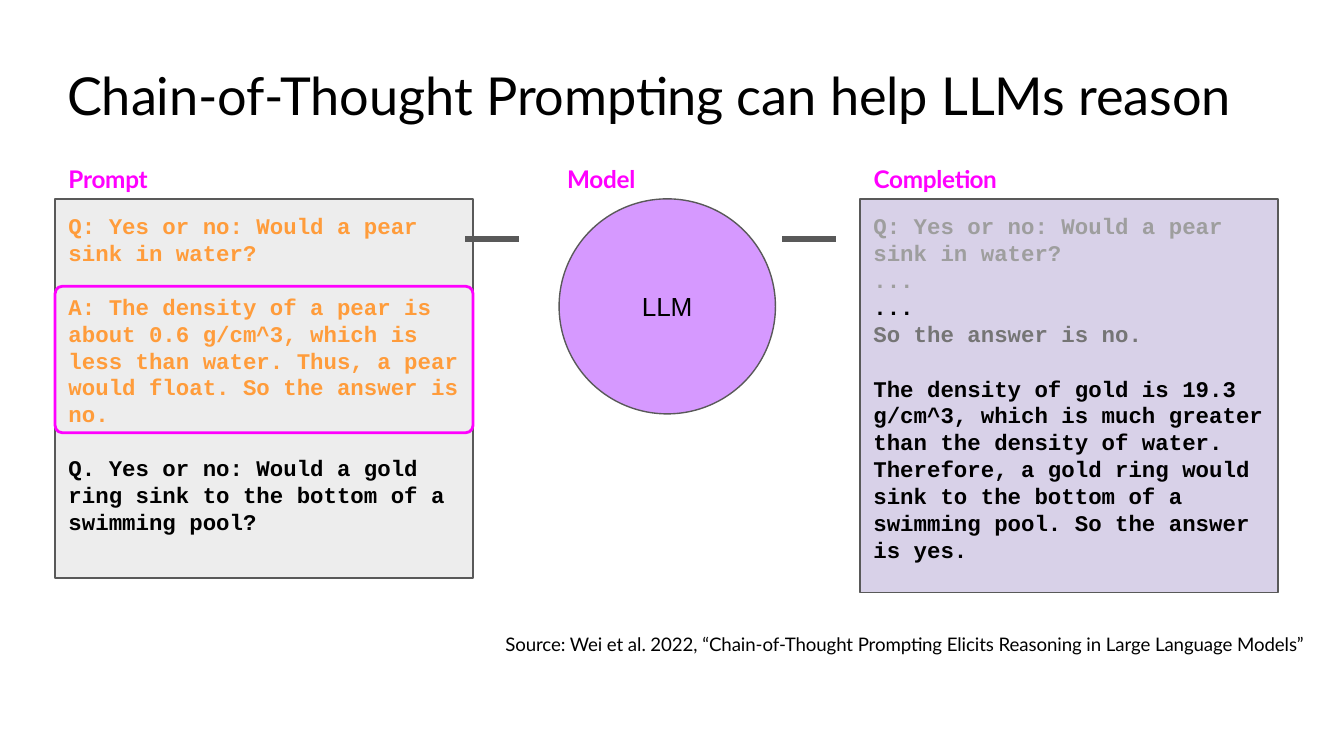
from dataclasses import dataclass

from lxml.etree import SubElement
from pptx import Presentation
from pptx.dml.color import RGBColor
from pptx.enum.shapes import MSO_CONNECTOR, MSO_SHAPE
from pptx.enum.text import MSO_ANCHOR, MSO_AUTO_SIZE, PP_ALIGN
from pptx.oxml.ns import qn
from pptx.util import Emu, Pt


@dataclass(frozen=True)
class Theme:
    """Colours, fonts and type sizes of the slide."""
    ink: str = "000000"
    accent: str = "FF00FF"
    example: str = "FF9C3B"
    echo: str = "9E9E9E"
    echo_answer: str = "757575"
    outline: str = "595959"
    prompt_fill: str = "EDEDED"
    model_fill: str = "D699FF"
    completion_fill: str = "D8D1E8"
    sans: str = "Lato"
    mono: str = "Courier New"
    model_font: str = "Arial"
    title_size: int = 28
    model_size: int = 14
    label_size: int = 13
    mono_size: int = 12
    source_size: int = 10


THEME = Theme()
TOP = 148
TEXT_LEFT = 51

LABELS = [("Prompt", 51, 70), ("Model", 422, 70), ("Completion", 650, 110)]

PROMPTS = [
    ("Q: Yes or no: Would a pear sink in water?", 156, 41, THEME.example),
    ("A: The density of a pear is about 0.6 g/cm^3, which is less than water. "
     "Thus, a pear would float. So the answer is no.", 216, 102, THEME.example),
    ("Q. Yes or no: Would a gold ring sink to the bottom of a swimming pool?",
     336, 61, THEME.ink),
]

COMPLETION = [
    ("Q: Yes or no: Would a pear sink in water?", THEME.echo, 0),
    ("...", THEME.echo, 0),
    ("...", THEME.ink, 0),
    ("So the answer is no.", THEME.echo_answer, 0),
    ("The density of gold is 19.3 g/cm^3, which is much greater "
     "than the density of water.", THEME.ink, 15),
    ("Therefore, a gold ring would sink to the bottom of a swimming pool. "
     "So the answer is yes.", THEME.ink, 0),
]


def px(n):
    """Turn px, a hundredth of an inch each, into EMU."""
    return Emu(n * 9144)


def rgb(color):
    """Return a colour object for a hex string."""
    return RGBColor.from_string(color)


def setup_frame(sp, left=0, top=1, anchor=MSO_ANCHOR.TOP):
    """Set wrapping, margins and anchor, and return the text frame."""
    tf = sp.text_frame
    tf.word_wrap = True
    tf.auto_size = MSO_AUTO_SIZE.NONE
    tf.vertical_anchor = anchor
    tf.margin_left, tf.margin_top = px(left), px(top)
    tf.margin_right = tf.margin_bottom = 0
    return tf


def write(p, text, font, size, color, bold=False, spacing=0, align=PP_ALIGN.LEFT):
    """Fill a paragraph with one formatted run; spacing is in 1/100 pt."""
    p.alignment = align
    p.font.name, p.font.size, p.font.bold = font, Pt(size), bold
    p.font.color.rgb = rgb(color)
    r = p.add_run()
    r.text = text
    if spacing:
        r._r.get_or_add_rPr().set("spc", str(spacing))


def write_mono(p, text, color):
    """Fill a paragraph with bold monospaced text."""
    write(p, text, THEME.mono, THEME.mono_size, color, bold=True)


def add_text_box(slide, x, y, w, h, top=1):
    """Add a text box and return its first paragraph."""
    sp = slide.shapes.add_textbox(px(x), px(y), px(w), px(h))
    return setup_frame(sp, top=top).paragraphs[0]


def add_shape(slide, kind, x, y, w, h, fill=None, line=THEME.outline, weight=0.75):
    """Add a flat outlined preset shape."""
    sp = slide.shapes.add_shape(kind, px(x), px(y), px(w), px(h))
    sp.shadow.inherit = False
    if fill:
        sp.fill.solid()
        sp.fill.fore_color.rgb = rgb(fill)
    else:
        sp.fill.background()
    sp.line.color.rgb = rgb(line)
    sp.line.width = Pt(weight)
    return sp


def add_link(slide, x, y, length):
    """Add a thick horizontal line without shadow."""
    cn = slide.shapes.add_connector(
        MSO_CONNECTOR.STRAIGHT, px(x), px(y), px(x + length), px(y))
    cn.line.color.rgb = rgb(THEME.outline)
    cn.line.width = Pt(3)
    SubElement(cn._element.spPr, qn("a:effectLst"))


def add_title(slide, text):
    """Place and format the title placeholder."""
    sp = slide.shapes.title
    sp.left, sp.top, sp.width, sp.height = px(50), px(47), px(954), px(49)
    p = setup_frame(sp, top=0).paragraphs[0]
    write(p, text, THEME.sans, THEME.title_size, THEME.ink, spacing=-2)


def add_prompt(slide):
    """Add the prompt panel, its texts and the highlighted reasoning."""
    add_shape(slide, MSO_SHAPE.RECTANGLE, 41, TOP, 311, 282, THEME.prompt_fill)
    for text, y, h, color in PROMPTS:
        write_mono(add_text_box(slide, TEXT_LEFT, y, 294, h, top=2), text, color)
    sp = add_shape(slide, MSO_SHAPE.ROUNDED_RECTANGLE, 41, 213, 311, 109,
                   line=THEME.accent, weight=1.5)
    sp.adjustments[0] = 0.05


def add_model(slide):
    """Add the model circle with its name."""
    sp = add_shape(slide, MSO_SHAPE.OVAL, 416, TOP, 161, 160, THEME.model_fill)
    p = setup_frame(sp, top=0, anchor=MSO_ANCHOR.MIDDLE).paragraphs[0]
    write(p, "LLM", THEME.model_font, THEME.model_size, THEME.ink,
          spacing=-10, align=PP_ALIGN.CENTER)


def add_completion(slide):
    """Add the completion panel with its paragraphs."""
    sp = add_shape(slide, MSO_SHAPE.RECTANGLE, 640, TOP, 311, 293,
                   THEME.completion_fill)
    tf = setup_frame(sp, left=10, top=10)
    for i, (text, color, gap) in enumerate(COMPLETION):
        p = tf.add_paragraph() if i else tf.paragraphs[0]
        if gap:
            p.space_before = Pt(gap)
        write_mono(p, text, color)


def main():
    """Build the slide and save it."""
    prs = Presentation()
    prs.slide_width = px(1000)
    prs.slide_height = prs.slide_width * 9 // 16
    slide = prs.slides.add_slide(prs.slide_layouts[5])
    add_title(slide, "Chain-of-Thought Prompting can help LLMs reason")
    add_prompt(slide)
    add_model(slide)
    add_completion(slide)
    for x in (346, 582):
        add_link(slide, x, 178, 40)
    for text, x, w in LABELS:
        write(add_text_box(slide, x, 122, w, 23, top=0), text, THEME.sans,
              THEME.label_size, THEME.accent, bold=True, spacing=-10)
    write(add_text_box(slide, 376, 470, 605, 17), 
          "Source: Wei et al. 2022, “Chain-of-Thought Prompting Elicits "
          "Reasoning in Large Language Models”",
          THEME.sans, THEME.source_size, THEME.ink, spacing=-3)
    prs.save("out.pptx")


if __name__ == "__main__":
    main()
